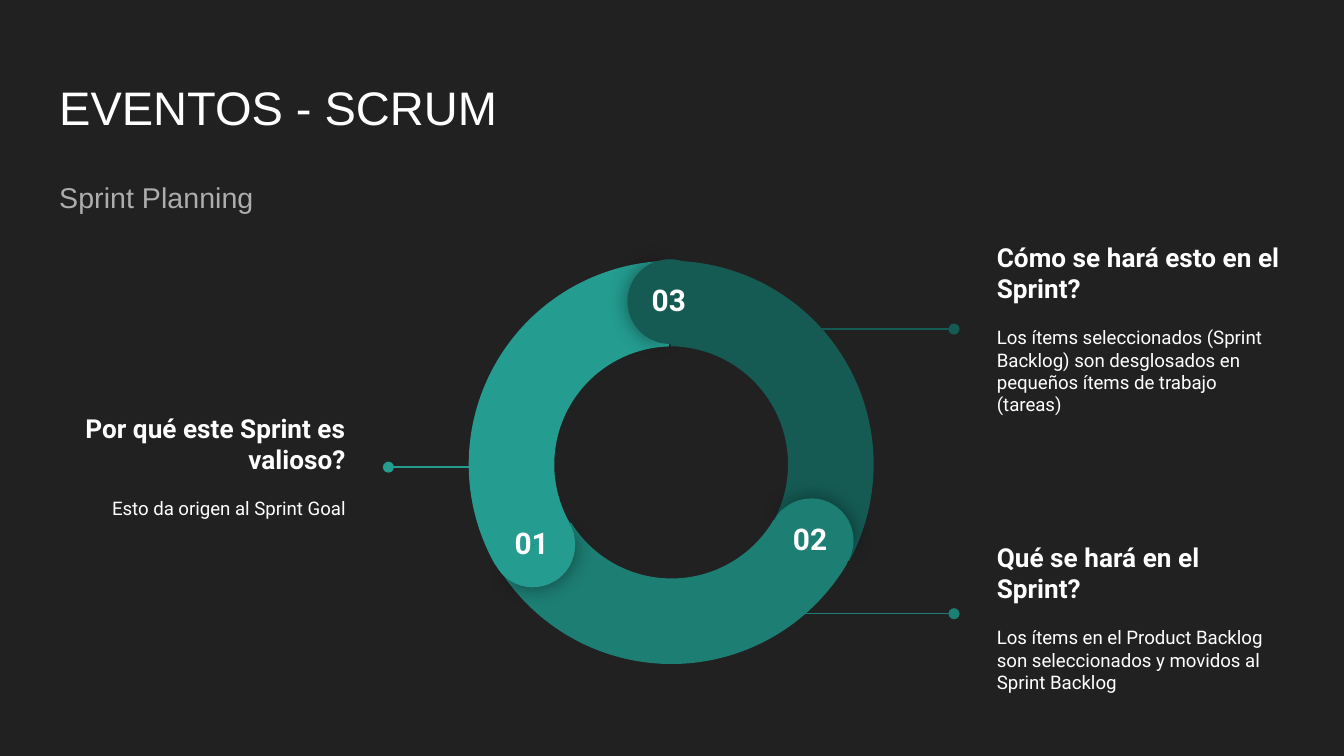
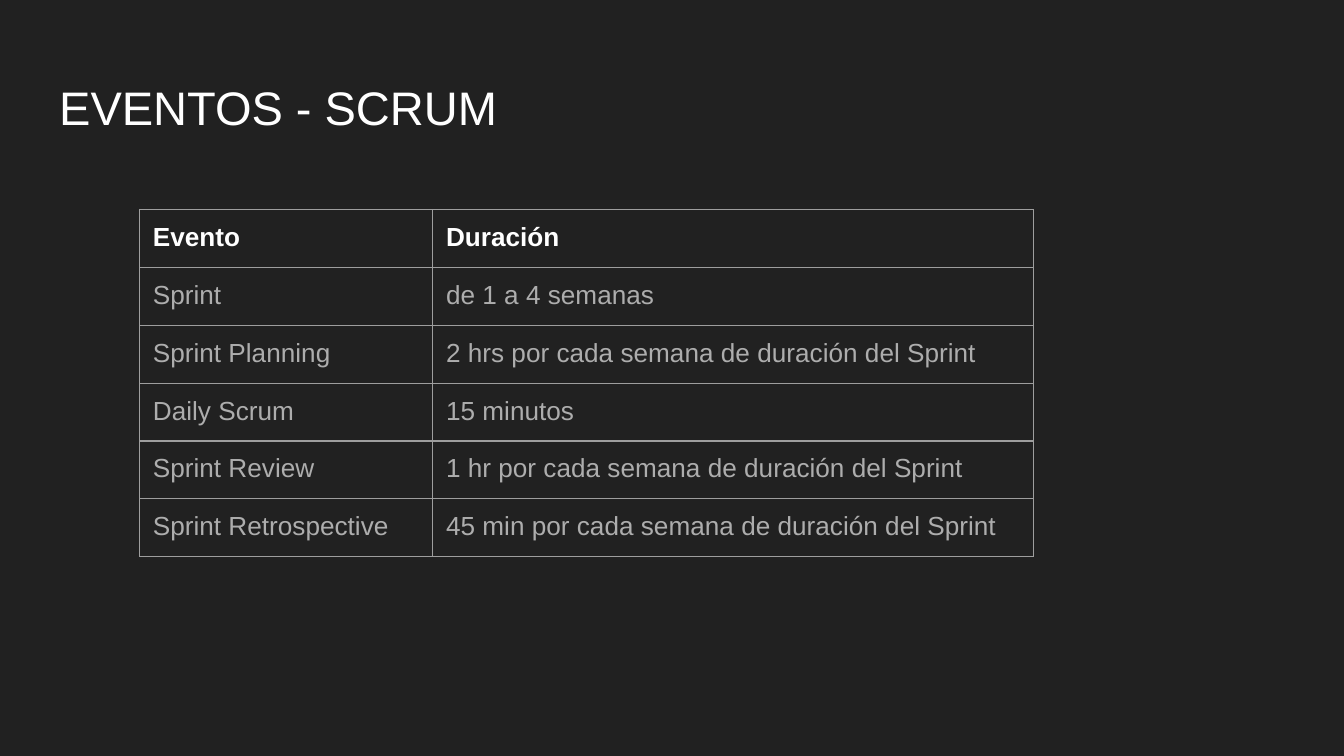
from lxml import etree
from pptx import Presentation
from pptx import util as u
from pptx.dml import color
from pptx.enum import shapes, text
from pptx.oxml import ns

COLORS = {
    "background": "212121",
    "white": "FFFFFF",
    "gray": "ADADAD",
    "border": "9E9E9E",
    "light": "249C90",
    "medium": "1D7E74",
    "dark": "155B54",
}
INSET = 0.25
TITLE_BOX = (0.87, 1.24, 23.67, 1.6)
SUBTITLE_BOX = (0.87, 3.2, 23.67, 1.6)
RING_BOX = (8.81, 4.85, 7.7, 7.7)
TABLE_BOX = (2.64, 3.96, 16.89, 6.4)

ARC_SHAPE = (126.22, 197.0, 0.21)
SHADED_CAP = (61.9, 149.96)
PLAIN_CAP = (40.28, 171.84)
CAP_SIZE = 1.6

SEGMENTS = [
    {"number": "03 ", "color": "dark", "turn": 0, "arc": (0, 0.08), "cap": (3.05, 0.05)},
    {"number": "02 ", "color": "medium", "turn": 120, "arc": (0.03, 0), "cap": (5.72, 4.57)},
    {"number": "01 ", "color": "light", "turn": 240, "arc": (0.05, 0.08), "cap": (0.46, 4.65)},
]
CALLOUTS = [
    {"box": (0.89, 7.01, 5.89, 3.58), "side": "left", "color": "light",
     "drop": 1.82, "reach": 1.75,
     "question": "Por qué este Sprint es valioso?",
     "answer": "Esto da origen al Sprint Goal"},
    {"box": (18.59, 4.42, 5.89, 3.58), "side": "right", "color": "dark",
     "drop": 1.8, "reach": 3.55,
     "question": "Cómo se hará esto en el Sprint?",
     "answer": "Los ítems seleccionados (Sprint Backlog) son desglosados en "
               "pequeños ítems de trabajo (tareas)"},
    {"box": (18.59, 9.88, 5.89, 3.58), "side": "right", "color": "medium",
     "drop": 1.72, "reach": 3.55,
     "question": "Qué se hará en el Sprint?",
     "answer": "Los ítems en el Product Backlog son seleccionados y movidos al "
               "Sprint Backlog"},
]
EVENTS = [
    ("Evento", "Duración"),
    ("Sprint", "de 1 a 4 semanas"),
    ("Sprint Planning", "2 hrs por cada semana de duración del Sprint"),
    ("Daily Scrum", "15 minutos"),
    ("Sprint Review", "1 hr por cada semana de duración del Sprint"),
    ("Sprint Retrospective", "45 min por cada semana de duración del Sprint"),
]


def rgb(name):
    """Return the named palette colour."""
    return color.RGBColor.from_string(COLORS[name])


def lengths(*values):
    """Turn centimetre numbers into lengths."""
    return [u.Cm(value) for value in values]


def add_xml(parent, tag, **attributes):
    """Append a drawing element to a parent and return it."""
    return etree.SubElement(parent, ns.qn(f"a:{tag}"), attributes)


def write(para, words, size, font="Arial", fill="white", bold=False,
          align=text.PP_ALIGN.LEFT, before=None, after=None, spacing=None):
    """Write formatted words into a paragraph."""
    para.alignment = align
    if before is not None:
        para.space_before = u.Pt(before)
    if after is not None:
        para.space_after = u.Pt(after)
    if spacing is not None:
        para.line_spacing = spacing
    span = para.add_run()
    span.text = words
    span.font.name = font
    span.font.size = u.Pt(size)
    span.font.bold = bold
    span.font.color.rgb = rgb(fill)


def add_box(page, box, anchor=text.MSO_ANCHOR.TOP):
    """Add an empty wrapping text box and return its frame."""
    frame = page.shapes.add_textbox(*lengths(*box)).text_frame
    frame.word_wrap = True
    frame.vertical_anchor = anchor
    frame.margin_left = frame.margin_right = u.Cm(INSET)
    frame.margin_top = frame.margin_bottom = u.Cm(INSET)
    return frame


def add_page(deck):
    """Add a dark page with the shared title."""
    page = deck.slides.add_slide(deck.slide_layouts[6])
    page.background.fill.solid()
    page.background.fill.fore_color.rgb = rgb("background")
    write(add_box(page, TITLE_BOX).paragraphs[0], "EVENTOS - SCRUM", 25.2)
    return page


def add_callout(page, box, side, color, drop, reach, question, answer):
    """Add a question with its answer and the line leading to it."""
    left, top, width, height = box
    on_left = side == "left"
    align = text.PP_ALIGN.RIGHT if on_left else text.PP_ALIGN.LEFT
    frame = add_box(page, box, text.MSO_ANCHOR.MIDDLE)
    write(frame.paragraphs[0], question, 14, "Roboto", bold=True, align=align)
    write(frame.add_paragraph(), answer, 10, "Roboto", align=align, before=11.7, after=16)

    edge, away = (left + width, 1) if on_left else (left, -1)
    tip = edge + away * 0.56
    line = page.shapes.add_connector(
        shapes.MSO_CONNECTOR.STRAIGHT,
        *lengths(tip + away * reach, top + drop, tip, top + drop))
    line.line.color.rgb = rgb(color)
    line.line.width = u.Pt(0.75)
    properties = line.element.spPr
    add_xml(properties.find(ns.qn("a:ln")), "tailEnd", type="oval")
    add_xml(properties, "effectLst")


def add_sector(page, kind, box, turn, fill, adjustments, shadow=False):
    """Add a turned sector, with a soft shadow if asked."""
    sector = page.shapes.add_shape(kind, *lengths(*box))
    sector.rotation = turn % 360
    for index, value in enumerate(adjustments):
        sector.adjustments[index] = value
    sector.fill.solid()
    sector.fill.fore_color.rgb = rgb(fill)
    sector.line.fill.background()
    sector.shadow.inherit = False
    if shadow:
        effects = sector.element.spPr.find(ns.qn("a:effectLst"))
        outer = add_xml(effects, "outerShdw", blurRad=str(u.Pt(11.2)), dist="0",
                        dir="0", algn="ctr", rotWithShape="0")
        add_xml(add_xml(outer, "srgbClr", val="000000"), "alpha", val="43000")


def add_ring(page, box):
    """Add the three-part ring with round caps and numbers."""
    left, top, width, height = box
    for part in SEGMENTS:
        across, down = part["arc"]
        add_sector(page, shapes.MSO_SHAPE.BLOCK_ARC,
                   (left + across, top + down, width, height),
                   60 + part["turn"], part["color"], ARC_SHAPE)
    for part in SEGMENTS:
        across, down = part["cap"]
        cap = (left + across, top + down, CAP_SIZE, CAP_SIZE)
        for start, outline, shadow in ((0.65, SHADED_CAP, True), (180, PLAIN_CAP, False)):
            add_sector(page, shapes.MSO_SHAPE.PIE, cap, start + part["turn"],
                       part["color"], outline, shadow)
    for part in SEGMENTS:
        across, down = part["cap"]
        frame = add_box(page, (left + across + 0.14, top + down + 0.17, 1.42, 0.74))
        write(frame.paragraphs[0], part["number"], 16, "Roboto", bold=True,
              align=text.PP_ALIGN.CENTER)


def add_border(cell):
    """Draw a thin line on each side of a cell."""
    properties = cell._tc.get_or_add_tcPr()
    for side in ("lnL", "lnR", "lnT", "lnB"):
        line = add_xml(properties, side, w=str(u.Pt(0.75)))
        add_xml(add_xml(line, "solidFill"), "srgbClr", val=COLORS["border"])


def add_events(page, box):
    """Add the table of events and durations."""
    table = page.shapes.add_table(len(EVENTS), 2, *lengths(*box)).table
    table.first_row = table.horz_banding = False
    first_width = 5.54
    table.columns[0].width = u.Cm(first_width)
    table.columns[1].width = u.Cm(box[2] - first_width)
    for row, entries in enumerate(EVENTS):
        header = row == 0
        for column, words in enumerate(entries):
            cell = table.cell(row, column)
            cell.margin_left = cell.margin_right = u.Cm(INSET)
            cell.margin_top = cell.margin_bottom = u.Cm(INSET)
            add_border(cell)
            cell.fill.background()
            write(cell.text_frame.paragraphs[0], words, 14,
                  fill="white" if header else "gray", bold=header)


def build_planning(deck):
    """Build the Sprint Planning page."""
    page = add_page(deck)
    write(add_box(page, SUBTITLE_BOX).paragraphs[0], "Sprint Planning", 15.3,
          fill="gray", after=12, spacing=0.95)
    for callout in CALLOUTS:
        add_callout(page, **callout)
    add_ring(page, RING_BOX)


def build_durations(deck):
    """Build the page of event durations."""
    add_events(add_page(deck), TABLE_BOX)


def main():
    """Build and save the deck."""
    deck = Presentation()
    deck.slide_width, deck.slide_height = lengths(25.4, 14.29)
    build_planning(deck)
    build_durations(deck)
    deck.save("out.pptx")


if __name__ == "__main__":
    main()
